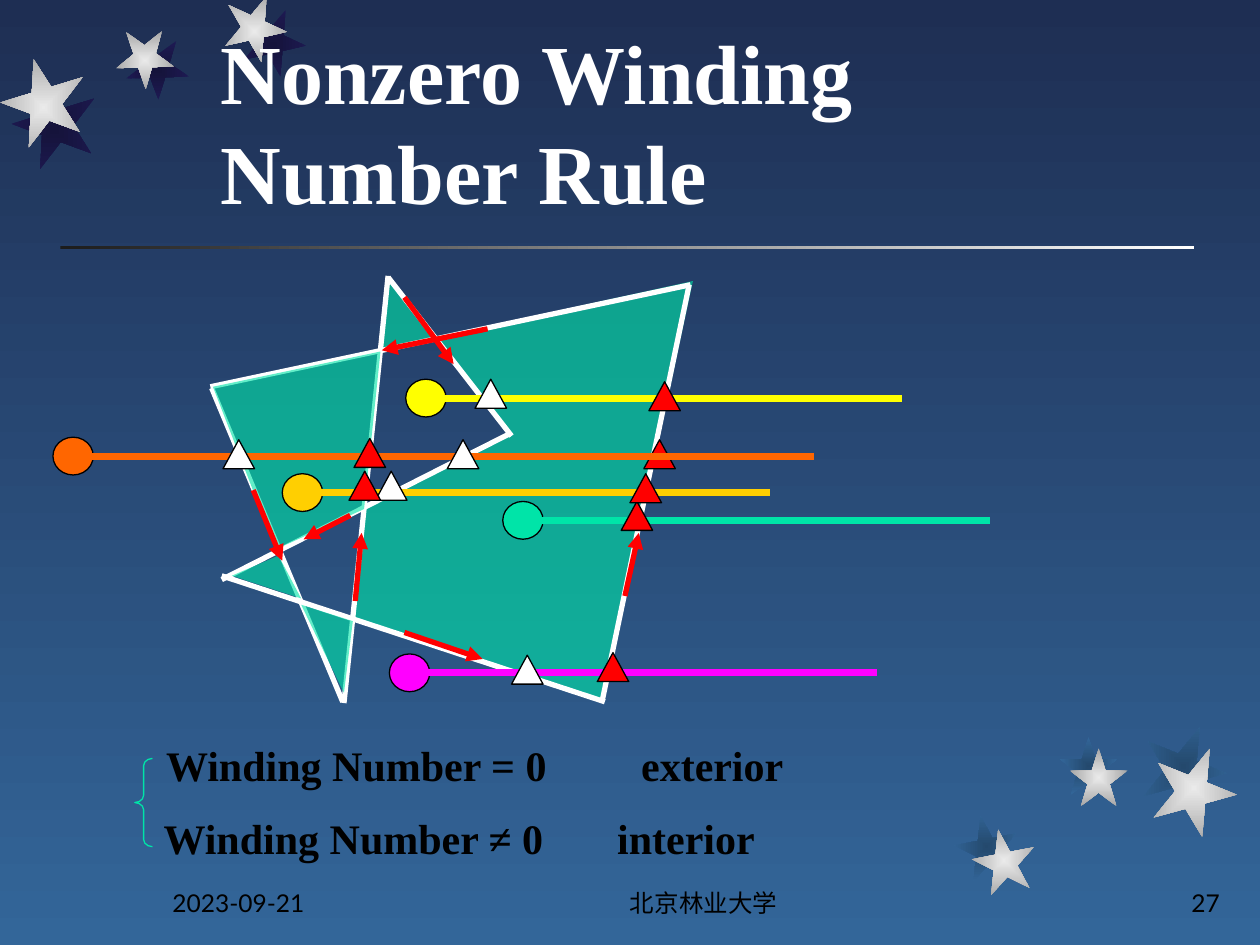
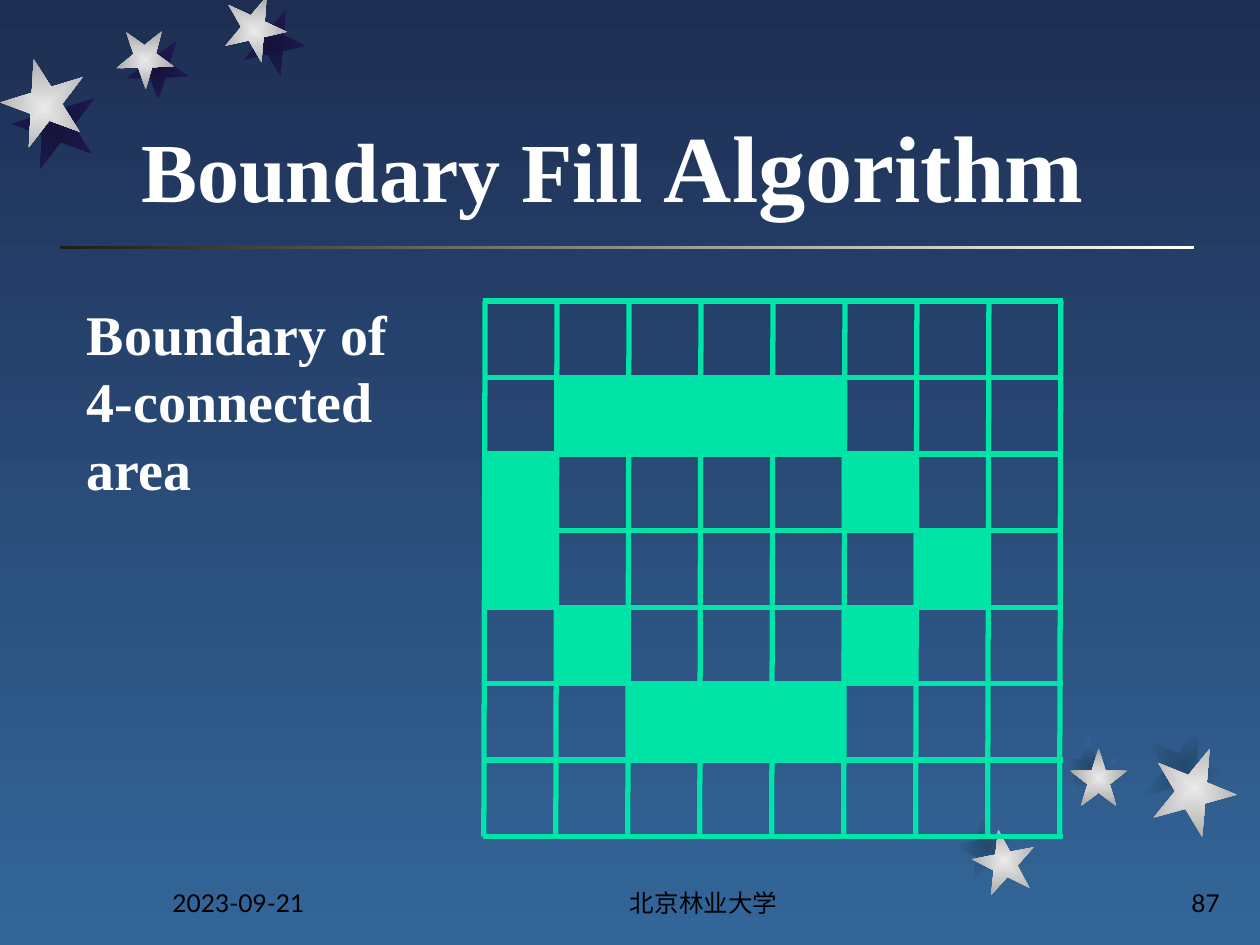
from pptx import Presentation
from pptx.dml.color import RGBColor
from pptx.enum import shapes, text
from pptx.oxml import parse_xml
from pptx.oxml.ns import nsdecls, qn
from pptx.util import Emu, Pt, Inches

# The page is ruled in 10 columns and 7.5 rows of one inch
CELL = Inches(1)
COLUMNS, ROWS = 10, 7.5

NIGHT = RGBColor(0x1E, 0x2E, 0x53)
SKY = RGBColor(0x33, 0x66, 0x99)
CHARCOAL = RGBColor(0x1C, 0x1C, 0x1C)
WHITE = RGBColor(0xFF, 0xFF, 0xFF)
BLACK = RGBColor(0, 0, 0)
RED = RGBColor(0xFF, 0, 0)
YELLOW = RGBColor(0xFF, 0xFF, 0)
MAGENTA = RGBColor(0xFF, 0, 0xFF)
ORANGE = RGBColor(0xFF, 0x66, 0)
GOLD = RGBColor(0xFF, 0xCF, 0x01)
MINT = RGBColor(0, 0xE4, 0xA8)
SILVER = (RGBColor(0xEA, 0xEA, 0xEA), RGBColor(0xA7, 0xA7, 0xA7))
INDIGO = (RGBColor(0x15, 0x13, 0x3B), RGBColor(0x1E, 0x1A, 0x53))
STEEL = (RGBColor(0x24, 0x49, 0x6D), SKY)

SERIF, SANS = "Times New Roman", "Lato"
PRESET = shapes.MSO_SHAPE
ALIGN = text.PP_ALIGN

# Star: left, top, width, height, rotation
TOP_SHADOWS = [(1.92, 0.11, 0.5, 0.5, 167.3), (1, 0.33, 0.5, 0.46, 178.3),
               (0.1, 0.69, 0.67, 0.67, 200.3)]
TOP_STARS = [(1.77, 0, 0.5, 0.5, 167.3), (0.92, 0.25, 0.46, 0.46, 178.3),
             (0.01, 0.52, 0.67, 0.67, 200.3)]
LOW_SHADOWS = [(7.58, 6.47, 0.5, 0.5, 349), (8.41, 5.85, 0.46, 0.46, 0),
               (9.06, 5.75, 0.67, 0.67, 22)]
LOW_STARS = [(7.72, 6.58, 0.5, 0.5, 349), (8.49, 5.94, 0.46, 0.46, 0),
             (9.14, 5.92, 0.67, 0.67, 22)]

# Winding diagram: filled regions, polygon edges and direction arrows
BACK_REGIONS = [
    [(3.03, 2.77), (3.09, 2.21), (3.44, 2.68)],
    [(3.46, 2.68), (5.5, 2.23), (4.78, 5.58), (2.8, 4.91), (2.87, 4.04), (4.05, 3.43)],
]
FRONT_REGIONS = [
    [(1.69, 3.07), (3.02, 2.79), (2.89, 4.04), (2.19, 4.36)],
    [(1.84, 4.57), (2.21, 4.41), (2.39, 4.75)],
    [(2.39, 4.8), (2.8, 4.93), (2.73, 5.5)],
]
EDGES = [
    ((1.68, 3.08), (2.72, 5.57)), ((5.47, 2.26), (4.78, 5.56)),
    ((1.67, 3.07), (5.48, 2.26)), ((3.08, 2.2), (4.06, 3.46)),
    ((4.05, 3.44), (1.76, 4.6)), ((1.76, 4.57), (4.8, 5.57)),
    ((2.73, 5.58), (3.08, 2.19)),
]
DIRECTIONS = [
    ((2.01, 3.89), (2.24, 4.45)), ((3.87, 2.61), (3.03, 2.78)),
    ((4.96, 4.73), (5.07, 4.23)), ((3.21, 5.02), (3.83, 5.23)),
    ((2.78, 4.09), (2.41, 4.28)), ((3.21, 2.36), (3.6, 2.89)),
    ((2.82, 4.77), (2.87, 4.23)),
]
# Ray: colour, left of its dot, height, right end
RAYS = [(MINT, 3.99, 4.13, 7.86), (YELLOW, 3.22, 3.16, 7.16),
        (MAGENTA, 3.09, 5.34, 6.96), (ORANGE, 0.42, 3.62, 6.46),
        (GOLD, 2.24, 3.91, 6.11)]
CROSSINGS = {
    WHITE: [(3.77, 3.01), (4.06, 5.2), (1.77, 3.49), (2.98, 3.74), (3.55, 3.49)],
    RED: [(5.15, 3.03), (4.93, 3.98), (4.74, 5.18), (2.81, 3.48), (2.77, 3.74), (5, 3.76)],
}

# Pixel grid: its origin, steps and the boundary columns of each row
GRID_LEFT, GRID_TOP = 3.85, 2.39
STEP_X, STEP_Y = 0.57, 0.61
GRID_COLUMNS, GRID_ROWS = 8, 7
GRID_WIDTH, GRID_HEIGHT = 4.57, 4.25
BOUNDARY = {1: (1, 2, 3, 4), 2: (0, 5), 3: (0, 6), 4: (1, 5), 5: (2, 3, 4)}


def emu(*cells):
    return [Emu(round(cell * CELL)) for cell in cells]


def blend(fill, first, last, angle=0):
    fill.gradient()
    fill.gradient_angle = angle
    for stop, color in zip(fill.gradient_stops, (first, last)):
        stop.color.rgb = color


def add_figure(page, preset, at, fill=None, outline=None):
    figure = page.shapes.add_shape(preset, *emu(*at))
    figure.shadow.inherit = False
    if fill is None:
        figure.fill.background()
    else:
        figure.fill.solid()
        figure.fill.fore_color.rgb = fill
    if outline is None:
        figure.line.fill.background()
    else:
        figure.line.color.rgb = outline
        figure.line.width = Pt(0.75)
    return figure


def add_star(page, star, colors):
    figure = add_figure(page, PRESET.STAR_5_POINT, star[:4])
    figure.rotation = star[4]
    blend(figure.fill, *colors)
    # Turn the linear gradient into one that spreads from the centre
    gradient = figure._element.spPr.find(qn("a:gradFill"))
    gradient.replace(gradient.find(qn("a:lin")), parse_xml(
        f'<a:path {nsdecls("a")} path="shape">'
        '<a:fillToRect l="50000" t="50000" r="50000" b="50000"/></a:path>'))


def add_line(page, start, end, color, width=3, arrow=False):
    line = page.shapes.add_connector(shapes.MSO_CONNECTOR.STRAIGHT, *emu(*start, *end))
    line.line.color.rgb = color
    line.line.width = Pt(width)
    if arrow:
        line.line._get_or_add_ln().append(
            parse_xml(f'<a:tailEnd {nsdecls("a")} type="triangle"/>'))
    line._element.spPr.append(parse_xml(f'<a:effectLst {nsdecls("a")}/>'))


def add_region(page, points):
    corners = [emu(*point) for point in points]
    outline = page.shapes.build_freeform(*corners[0])
    outline.add_line_segments(corners[1:], close=True)
    region = outline.convert_to_shape()
    region.shadow.inherit = False
    region.line.fill.background()
    region.fill.solid()
    region.fill.fore_color.rgb = MINT
    color = region._element.spPr.find(qn("a:solidFill"))[0]
    color.append(parse_xml(f'<a:alpha {nsdecls("a")} val="61000"/>'))


def write(box, spans, color, font=SERIF, bold=True, align=ALIGN.LEFT, bottom=False, tab=None):
    """Fill a box with one paragraph; spans are (words, size) pairs."""
    frame = box.text_frame
    frame.word_wrap = True
    frame.auto_size = text.MSO_AUTO_SIZE.NONE
    frame.vertical_anchor = text.MSO_ANCHOR.BOTTOM if bottom else text.MSO_ANCHOR.TOP
    para = frame.paragraphs[0]
    para.alignment = align
    if tab:
        para._p.get_or_add_pPr().append(parse_xml(
            f'<a:tabLst {nsdecls("a")}><a:tab pos="{emu(tab)[0]}" algn="l"/></a:tabLst>'))
    for words, size in spans:
        span = para.add_run()
        span.text = words
        span.font.name = font
        span.font.size = Pt(size)
        span.font.bold = bold
        span.font.color.rgb = color


def add_text(page, at, words, size, color, **style):
    box = page.shapes.add_textbox(*emu(*at))
    write(box, [(words, size)], color, **style)


def add_page(deck, title_at, title_spans, number):
    page = deck.slides.add_slide(deck.slide_layouts[5])
    # Rule under the title
    rule = add_figure(page, PRESET.RECTANGLE, (0.48, 1.95, 9, 0.03))
    blend(rule.fill, CHARCOAL, WHITE)
    # Stars with their shadows
    for stars, colors in ((TOP_SHADOWS, INDIGO), (TOP_STARS, SILVER),
                          (LOW_SHADOWS, STEEL), (LOW_STARS, SILVER)):
        for star in stars:
            add_star(page, star, colors)
    # Footer
    for left, width, words, align in ((1.27, 2.08, "2023-09-21", ALIGN.LEFT),
                                      (4, 3.17, "北京林业大学", ALIGN.CENTER),
                                      (7.7, 2.08, str(number), ALIGN.RIGHT)):
        add_text(page, (left, 6.83, width, 0.5), words, 14, BLACK,
                 font=SANS, bold=False, align=align, bottom=True)
    # Title, in front of the stars
    title = page.shapes.title
    title.left, title.top, title.width, title.height = emu(*title_at)
    write(title, title_spans, WHITE, bottom=True)
    page.shapes._spTree.append(title._element)
    return page


def add_ray(page, color, left, y, end):
    add_figure(page, PRESET.OVAL, (left, y - 0.15, 0.32, 0.3), color, BLACK)
    add_line(page, (left + 0.27, y), (end, y), color, 4)


def add_crossing(page, left, top, color):
    add_figure(page, PRESET.ISOSCELES_TRIANGLE, (left, top, 0.25, 0.23), color, BLACK)


def draw_winding(page):
    for points in BACK_REGIONS:
        add_region(page, points)
    for start, end in EDGES:
        add_line(page, start, end, WHITE)
    add_crossing(page, 5.11, 3.49, RED)  # lies behind the orange ray
    for points in FRONT_REGIONS:
        add_region(page, points)
    for ray in RAYS:
        add_ray(page, *ray)
    for color, places in CROSSINGS.items():
        for left, top in places:
            add_crossing(page, left, top, color)
    for start, end in DIRECTIONS:
        add_line(page, start, end, RED, arrow=True)


def draw_rules(page):
    add_text(page, (1.22, 5.82, 6.88, 0.61), "Winding Number = 0\texterior", 24, BLACK, tab=3.77)
    add_text(page, (1.2, 6.4, 6.82, 0.61), "Winding Number ≠ 0\tinterior", 24, BLACK, tab=3.6)
    brace = add_figure(page, PRESET.LEFT_BRACE, (1.07, 6.02, 0.14, 0.7), outline=MINT)
    brace.adjustments[0] = 0.41


def draw_pixel_grid(page):
    bottom = GRID_TOP + GRID_HEIGHT
    for column in range(GRID_COLUMNS + 1):
        x = GRID_LEFT + column * GRID_WIDTH / GRID_COLUMNS
        add_line(page, (x, GRID_TOP), (x - 0.01, bottom), MINT)
    for row in range(GRID_ROWS + 1):
        y = GRID_TOP + row * GRID_HEIGHT / GRID_ROWS
        add_line(page, (GRID_LEFT - 0.02, y), (GRID_LEFT + GRID_WIDTH + 0.02, y), MINT)
    for row, columns in BOUNDARY.items():
        for column in columns:
            left = GRID_LEFT - 0.02 + column * STEP_X
            top = GRID_TOP - 0.01 + row * STEP_Y
            add_figure(page, PRESET.RECTANGLE, (left, top, 0.59, 0.62), MINT)


def main():
    deck = Presentation()
    deck.slide_width, deck.slide_height = emu(COLUMNS, ROWS)
    blend(deck.slide_master.background.fill, NIGHT, SKY, 270)

    winding = add_page(deck, (1.65, 0.27, 6.82, 1.54),
                       [("Nonzero Winding Number Rule", 48)], 27)
    draw_winding(winding)
    draw_rules(winding)

    boundary = add_page(deck, (1.02, 0.63, 8.07, 1.18),
                        [("Boundary Fill ", 48), ("Algorithm", 54)], 87)
    draw_pixel_grid(boundary)
    add_text(boundary, (0.59, 2.33, 2.89, 1.67), "Boundary of 4-connected area", 32, WHITE)

    deck.save("out.pptx")


if __name__ == "__main__":
    main()
